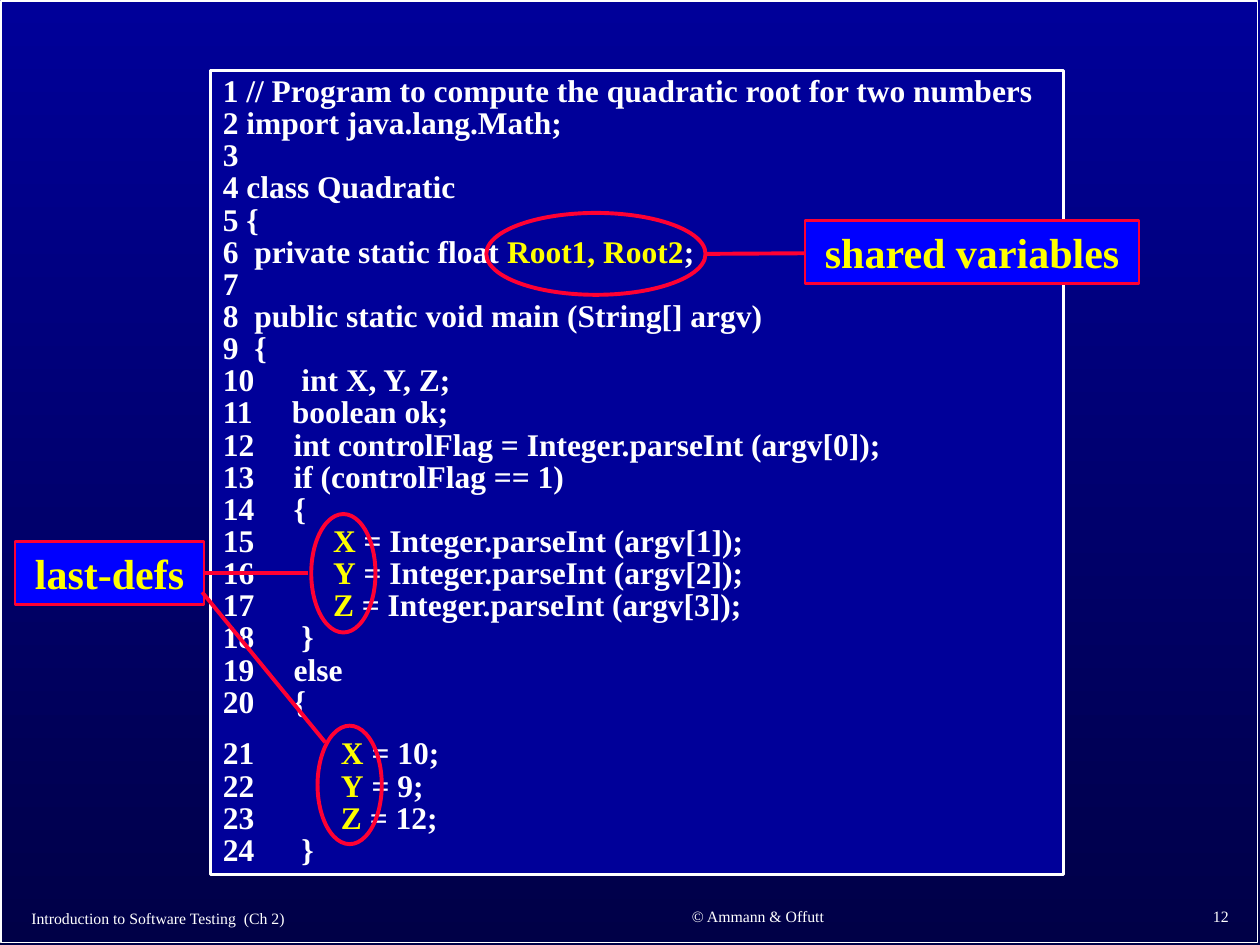
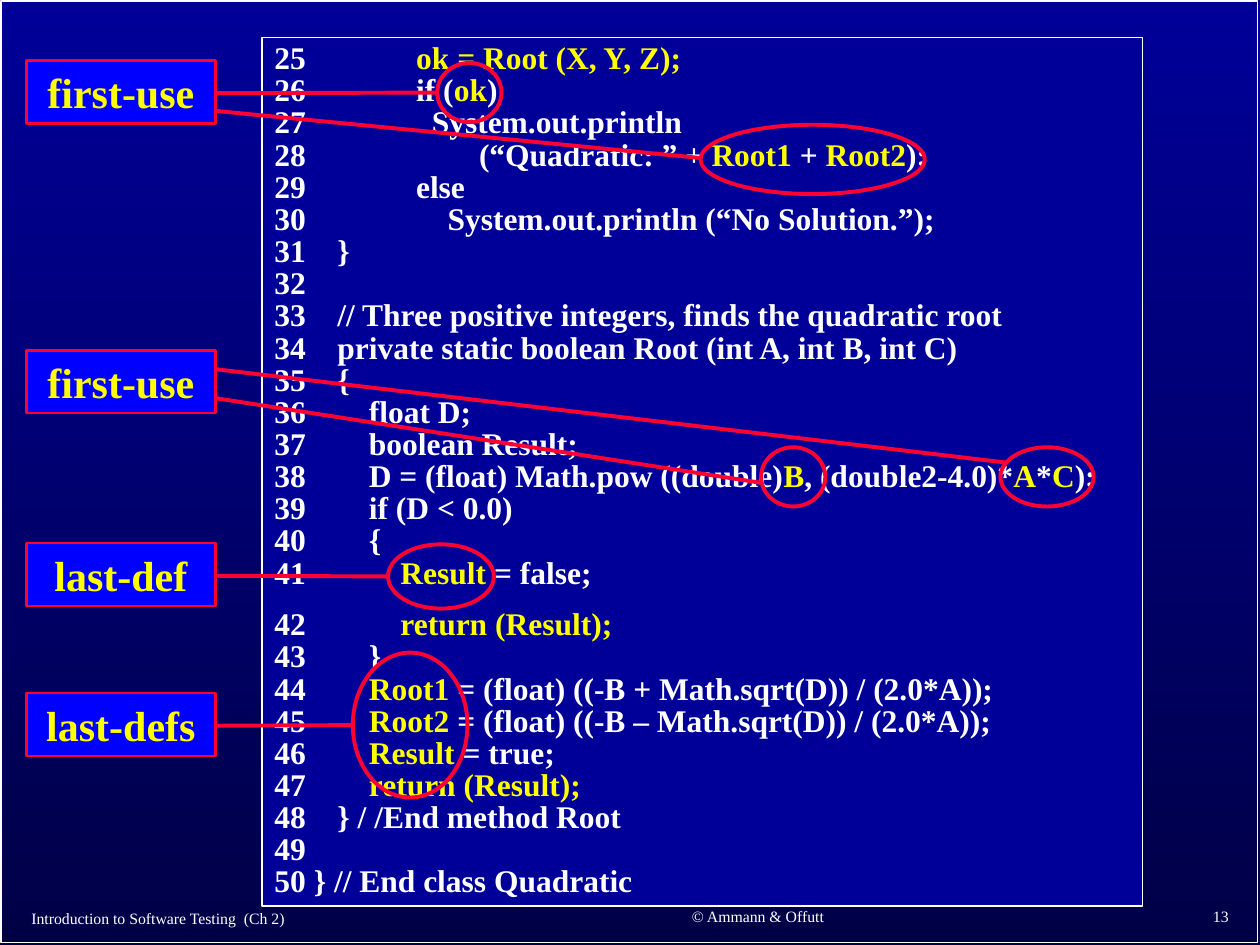
from pptx import Presentation
from pptx.dml.color import RGBColor
from pptx.enum.shapes import MSO_CONNECTOR, MSO_SHAPE
from pptx.enum.text import MSO_ANCHOR, MSO_AUTO_SIZE, PP_ALIGN
from pptx.oxml.ns import qn
from pptx.util import Inches, Pt
from lxml.etree import SubElement

FONT = "Times New Roman"
WHITE, YELLOW, RED = "FFFFFF", "FFFF00", "FF0033"
NAVY, MIDNIGHT, BLUE = "000099", "000047", "0000FF"
FRAME = (0.01, 0.01, 9.97, 7.47)
COURSE_BOX = (0.15, 7.1, 4.11, 0.38)
COPYRIGHT_BOX = (4.43, 7.08, 3.17, 0.39)
NUMBER_BOX = (7.77, 7.07, 2.08, 0.4)
LABEL_SIZE = (1.5, 0.5)

MAIN_CODE = ("""\
1 // Program to compute the quadratic root for two numbers
2 import java.lang.Math;
3
4 class Quadratic
5 {
6  private static float `Root1, Root2`;
7
8  public static void main (String[] argv)
9  {
10      int X, Y, Z;
11     boolean ok;
12     int controlFlag = Integer.parseInt (argv[0]);
13     if (controlFlag == 1)
14     {
15          `X` = Integer.parseInt (argv[1]);
16          `Y` = Integer.parseInt (argv[2]);
17          `Z` = Integer.parseInt (argv[3]);
18      }
19     else
20     {""", """\
21           `X` = 10;
22           `Y` = 9;
23           `Z` = 12;
24      }""")

ROOT_CODE = ("""\
25              `ok = Root (X, Y, Z);`
26              if (`ok`)
27                System.out.println
28                      (“Quadratic: ” + `Root1` + `Root2`);
29              else
30                  System.out.println (“No Solution.”);
31    }
32
33    // Three positive integers, finds the quadratic root
34    private static boolean Root (int A, int B, int C)
35    {
36        float D;
37        boolean Result;
38        D = (float) Math.pow ((double)`B`, (double2-4.0)*`A`*`C`);
39        if (D < 0.0)
40        {
41            `Result` = false;""", """\
42            `return (Result);`
43        }
44        `Root1` = (float) ((-B + Math.sqrt(D)) / (2.0*A));
45        `Root2` = (float) ((-B – Math.sqrt(D)) / (2.0*A));
46        `Result` = true;
47        `return (Result);`
48    } / /End method Root
49
50 } // End class Quadratic""")


def rgb(value):
    """Turn a hex string into a colour."""
    return RGBColor.from_string(value)


def style(paragraph, size, color, bold=False, align=PP_ALIGN.LEFT):
    """Format a whole paragraph."""
    paragraph.alignment = align
    font = paragraph.font
    font.name, font.size, font.bold = FONT, Pt(size), bold
    font.color.rgb = rgb(color)


def add_outline(slide, kind, box, line, width, fill=None):
    """Add a preset shape with an outline and an optional fill."""
    shape = slide.shapes.add_shape(kind, *map(Inches, box))
    shape.shadow.inherit = False
    if fill:
        shape.fill.solid()
        shape.fill.fore_color.rgb = rgb(fill)
    else:
        shape.fill.background()
    shape.line.color.rgb = rgb(line)
    shape.line.width = Pt(width)
    return shape


def add_footer(slide, text, box, align):
    """Add one small footer text."""
    frame = slide.shapes.add_textbox(*map(Inches, box)).text_frame
    frame.word_wrap = True
    frame.vertical_anchor = MSO_ANCHOR.MIDDLE
    frame.text = text
    style(frame.paragraphs[0], 9, WHITE, align=align)


def add_code(slide, blocks, box, border):
    """Add a code panel where backticks enclose highlighted words."""
    panel = add_outline(slide, MSO_SHAPE.RECTANGLE, box, WHITE, border, NAVY)
    frame = panel.text_frame
    frame.word_wrap = True
    frame.vertical_anchor = MSO_ANCHOR.TOP
    frame.auto_size = MSO_AUTO_SIZE.SHAPE_TO_FIT_TEXT
    for block_index, block in enumerate(blocks):
        paragraph = frame.add_paragraph() if block_index else frame.paragraphs[0]
        paragraph.line_spacing = 0.85
        if block_index:
            paragraph.space_before = Pt(11.2)
        style(paragraph, 18, WHITE, bold=True)
        for line_index, line in enumerate(block.split("\n")):
            if line_index:
                paragraph.add_line_break()
            for part_index, part in enumerate(line.split("`")):
                if part:
                    run = paragraph.add_run()
                    run.text = part
                    if part_index % 2:
                        run.font.color.rgb = rgb(YELLOW)


def point_on(box, across, down):
    """Return the point at the given fractions of a box."""
    left, top, width, height = box
    return Inches(left + across * width), Inches(top + down * height)


def add_callout(slide, text, box, marks):
    """Add a label linked to ellipses, each with its link ends as box fractions."""
    label = add_outline(slide, MSO_SHAPE.RECTANGLE, box, RED, 1.5, BLUE)
    frame = label.text_frame
    frame.vertical_anchor = MSO_ANCHOR.TOP
    frame.auto_size = MSO_AUTO_SIZE.SHAPE_TO_FIT_TEXT
    frame.text = text
    style(frame.paragraphs[0], 24, YELLOW, bold=True, align=PP_ALIGN.CENTER)
    for ellipse, ellipse_end, label_end in marks:
        add_outline(slide, MSO_SHAPE.OVAL, ellipse, RED, 2.25)
        link = slide.shapes.add_connector(
            MSO_CONNECTOR.STRAIGHT, *point_on(ellipse, *ellipse_end), *point_on(box, *label_end))
        link.line.color.rgb = rgb(RED)
        link.line.width = Pt(2.25)
        SubElement(link._element.spPr, qn("a:effectLst"))


def add_code_slide(prs, number, blocks, box, border, callouts):
    """Add a framed slide with footers, a code panel and its callouts."""
    slide = prs.slides.add_slide(prs.slide_layouts[6])
    add_outline(slide, MSO_SHAPE.RECTANGLE, FRAME, WHITE, 1)
    add_footer(slide, "Introduction to Software Testing  (Ch 2)", COURSE_BOX, PP_ALIGN.LEFT)
    add_footer(slide, "© Ammann & Offutt", COPYRIGHT_BOX, PP_ALIGN.CENTER)
    add_footer(slide, str(number), NUMBER_BOX, PP_ALIGN.RIGHT)
    add_code(slide, blocks, box, border)
    for text, label_box, marks in callouts:
        add_callout(slide, text, label_box, marks)


def set_background(master):
    """Give every slide the dark vertical gradient."""
    fill = master.background.fill
    fill.gradient()
    fill.gradient_angle = 270
    for stop, color, position in zip(fill.gradient_stops, (NAVY, MIDNIGHT), (0, 1)):
        stop.color.rgb = rgb(color)
        stop.position = position


def main():
    """Build and save the two code slides."""
    prs = Presentation()
    prs.slide_width, prs.slide_height = Inches(10), Inches(7.5)
    set_background(prs.slide_master)
    add_code_slide(prs, 12, MAIN_CODE, (1.67, 0.56, 6.77, 6.38), 1.5, [
        ("last-defs", (0.12, 4.3, *LABEL_SIZE), [
            ((2.47, 4.08, 0.51, 0.94), (-0.05, 0.5), (1, 0.5)),
            ((2.52, 5.76, 0.51, 0.94), (0.12, 0.14), (0.99, 0.8))]),
        ("shared variables", (6.39, 1.75, 2.65, 0.5), [
            ((3.86, 1.69, 1.74, 0.65), (1, 0.5), (0, 0.52))]),
    ])
    add_code_slide(prs, 13, ROOT_CODE, (2.08, 0.3, 6.99, 6.89), 0.75, [
        ("last-def", (0.21, 4.31, *LABEL_SIZE), [
            ((3.08, 4.32, 0.84, 0.51), (0, 0.5), (1, 0.52))]),
        ("first-use", (0.21, 0.48, *LABEL_SIZE), [
            ((3.47, 0.5, 0.51, 0.47), (0, 0.5), (1, 0.52)),
            ((5.56, 0.99, 1.78, 0.55), (0, 0.48), (1, 0.8))]),
        ("first-use", (0.21, 2.78, *LABEL_SIZE), [
            ((6.04, 3.55, 0.51, 0.47), (0, 0.6), (1, 0.76)),
            ((7.94, 3.55, 0.74, 0.47), (0.07, 0.26), (1, 0.3))]),
        ("last-defs", (0.21, 5.5, *LABEL_SIZE), [
            ((2.8, 5.18, 0.91, 1.15), (0, 0.5), (1, 0.52))]),
    ])
    prs.save("out.pptx")


if __name__ == "__main__":
    main()
